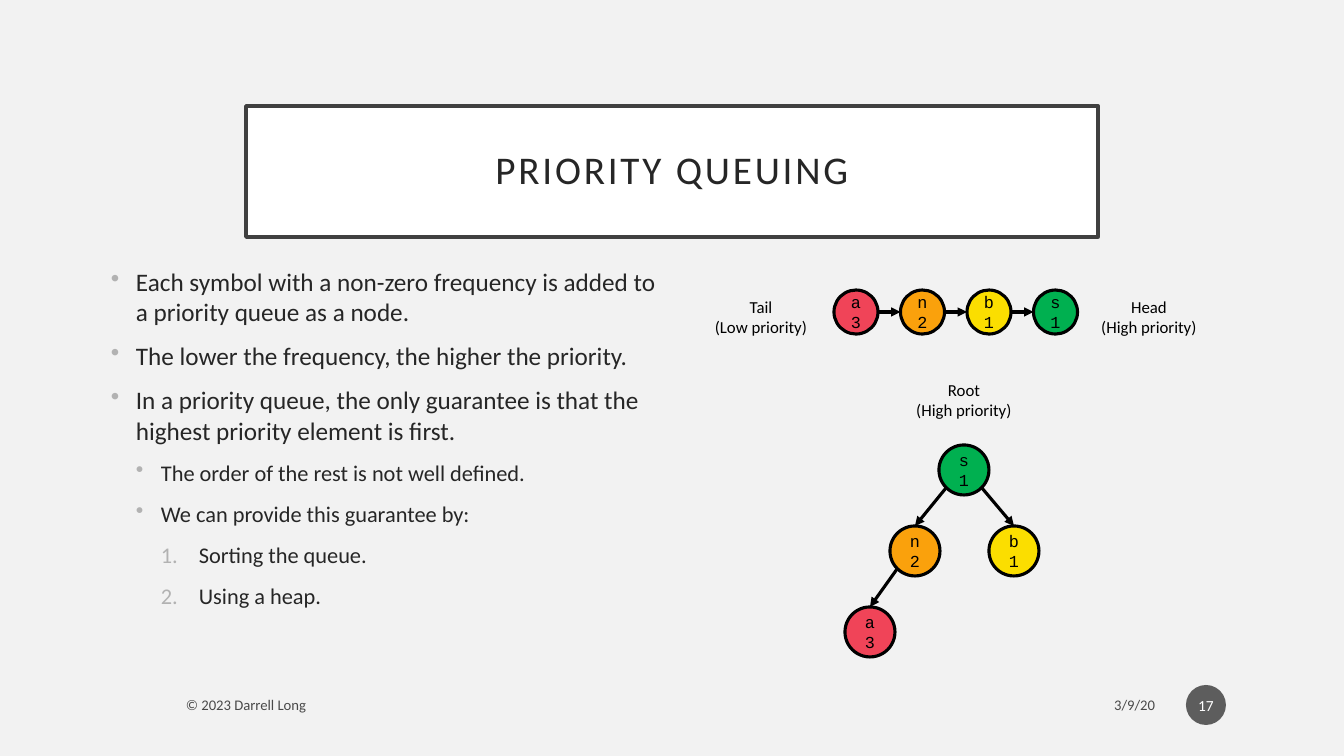
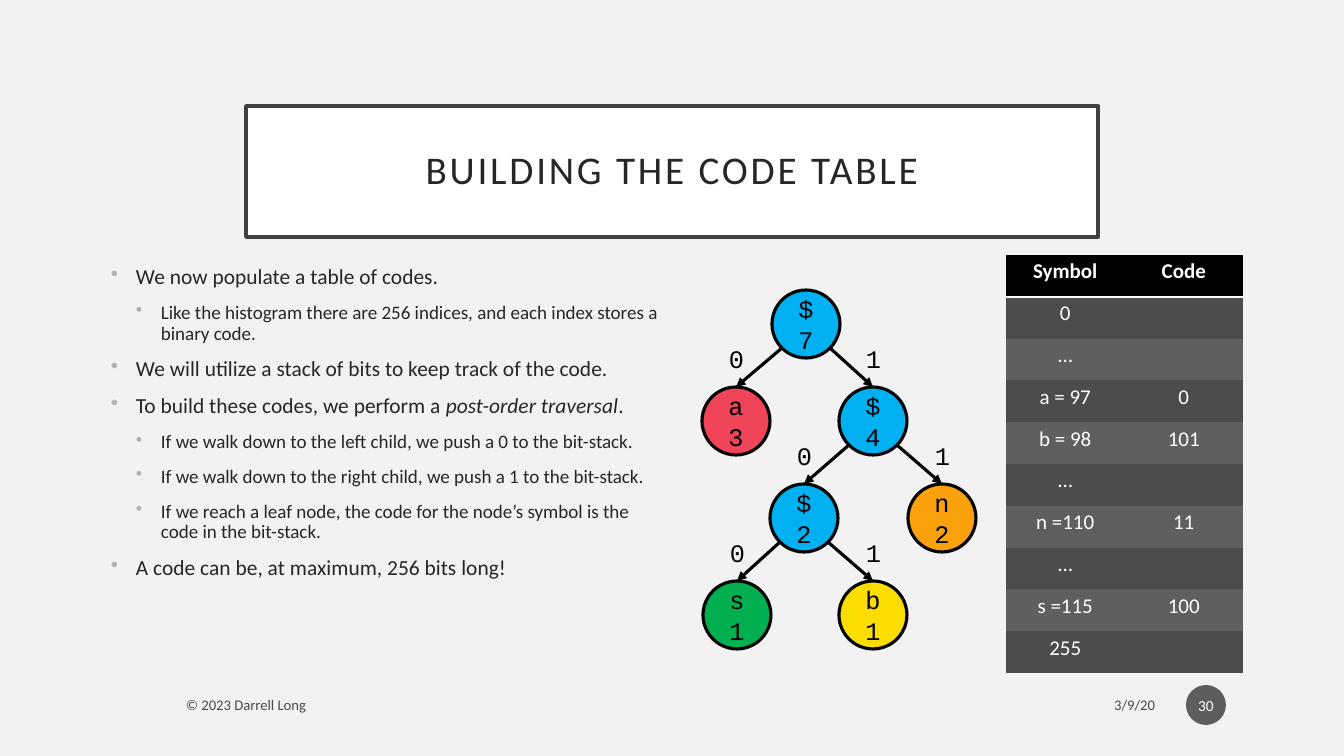
import lxml.etree
import pptx
import pptx.dml.color
import pptx.enum.shapes
import pptx.enum.text
import pptx.oxml
import pptx.oxml.ns
import pptx.util

RGBColor = pptx.dml.color.RGBColor
BACKGROUND = RGBColor(0xF2, 0xF2, 0xF2)
WHITE = RGBColor(0xFF, 0xFF, 0xFF)
BLACK = RGBColor(0x00, 0x00, 0x00)
TITLE_BORDER = RGBColor(0x40, 0x40, 0x40)
BODY_TEXT = RGBColor(0x26, 0x26, 0x26)
FOOTER_TEXT = RGBColor(0x49, 0x49, 0x49)
BADGE = RGBColor(0x5D, 0x5D, 0x5D)
BULLET = RGBColor(0xB2, 0xB2, 0xB2)
RED = RGBColor(0xF0, 0x44, 0x58)
ORANGE = RGBColor(0xFA, 0xA1, 0x0C)
YELLOW = RGBColor(0xFB, 0xDE, 0x00)
GREEN = RGBColor(0x00, 0xB0, 0x50)
BLUE = RGBColor(0x00, 0xB0, 0xF0)
ROW_DARK = RGBColor(0x4C, 0x4C, 0x4C)
ROW_LIGHT = RGBColor(0x5F, 0x5F, 0x5F)

SANS = "Calibri"
MONO = "Courier New"
EMU_PER_PX = 914400 / 100.8
ALIGN = pptx.enum.text.PP_ALIGN
MIDDLE = pptx.enum.text.MSO_ANCHOR.MIDDLE
OVAL = pptx.enum.shapes.MSO_SHAPE.OVAL
NAMESPACE = pptx.oxml.ns.nsdecls("a")
NO_TABLE_STYLE = "{2D5ABB26-0587-4C30-8999-92F81FD0307C}"


def px(length):
    return pptx.util.Emu(round(length * EMU_PER_PX))


def write(holder, text, size, color=BLACK, font=SANS, align=ALIGN.CENTER):
    """Put text in a shape or table cell, one paragraph per line."""
    holder.text_frame.word_wrap = True
    holder.text_frame.text = text
    for paragraph in holder.text_frame.paragraphs:
        paragraph.alignment = align
        paragraph.font.size = pptx.util.Pt(size)
        paragraph.font.name = font
        paragraph.font.color.rgb = color


# Body lines are (level, text); *asterisks* mark italics.
pages = [
    {
        "title": "PRIORITY QUEUING",
        "number": "17",
        "sizes": (18, 16, 16),
        "line_spacing": 1.0,
        "body": [
            (0, "Each symbol with a non-zero frequency is added to a priority queue as a node."),
            (0, "The lower the frequency, the higher the priority."),
            (0, "In a priority queue, the only guarantee is that the highest priority element is first."),
            (1, "The order of the rest is not well defined."),
            (1, "We can provide this guarantee by:"),
            (2, "Sorting the queue."),
            (2, "Using a heap."),
        ],
    },
    {
        "title": "BUILDING THE CODE TABLE",
        "number": "30",
        "sizes": (15.3, 13.6),
        "line_spacing": 0.9,
        "body": [
            (0, "We now populate a table of codes."),
            (1, "Like the histogram there are 256 indices, and each index stores a binary code."),
            (0, "We will utilize a stack of bits to keep track of the code."),
            (0, "To build these codes, we perform a *post-order traversal*."),
            (1, "If we walk down to the left child, we push a 0 to the bit-stack."),
            (1, "If we walk down to the right child, we push a 1 to the bit-stack."),
            (1, "If we reach a leaf node, the code for the node’s symbol is the code in the bit-stack."),
            (0, "A code can be, at maximum, 256 bits long!"),
        ],
    },
]

# Left margin and hanging indent of each level.
indents = [(25, 25), (50, 25), (88, 38)]

presentation = pptx.Presentation()
presentation.slide_width = px(1344)
presentation.slide_height = px(756)
master_fill = presentation.slide_master.background.fill
master_fill.solid()
master_fill.fore_color.rgb = BACKGROUND
title_only = presentation.slide_layouts.get_by_name("Title Only")

for page in pages:
    slide = presentation.slides.add_slide(title_only)

    title = slide.shapes.title
    title.left, title.top, title.width, title.height = px(246), px(106), px(852), px(131)
    title.fill.solid()
    title.fill.fore_color.rgb = WHITE
    title.line.color.rgb = TITLE_BORDER
    title.line.width = pptx.util.Pt(2.5)
    write(title, page["title"], 28, BODY_TEXT)
    title_frame = title.text_frame
    title_frame.vertical_anchor = MIDDLE
    title_frame.margin_left = title_frame.margin_right = px(20)
    title_frame.margin_top = title_frame.margin_bottom = px(20)
    title_paragraph = title_frame.paragraphs[0]
    title_paragraph.line_spacing = 0.9
    title_paragraph.runs[0]._r.get_or_add_rPr().set("spc", "200")

    body = slide.shapes.add_textbox(px(101), px(261), px(572), px(377))
    body.text_frame.word_wrap = True
    for index, (level, text) in enumerate(page["body"]):
        paragraph = body.text_frame.paragraphs[0] if index == 0 else body.text_frame.add_paragraph()
        paragraph.level = level
        paragraph.line_spacing = page["line_spacing"]
        paragraph.space_before = pptx.util.Pt(10 if index else 0)
        margin, hanging = indents[level]
        properties = paragraph._p.get_or_add_pPr()
        properties.set("marL", str(px(margin)))
        properties.set("indent", str(-px(hanging)))
        marker = 'buAutoNum {} type="arabicPeriod"' if level == 2 else 'buChar {} char="•"'
        for element in (
            f'<a:buClr {NAMESPACE}><a:srgbClr val="{BULLET}"/></a:buClr>',
            f"<a:{marker.format(NAMESPACE)}/>",
        ):
            properties.append(pptx.oxml.parse_xml(element))
        paragraph.font.size = pptx.util.Pt(page["sizes"][level])
        paragraph.font.name = SANS
        paragraph.font.color.rgb = BODY_TEXT
        for piece_index, piece in enumerate(text.split("*")):
            run = paragraph.add_run()
            run.text = piece
            if piece_index % 2:
                run.font.italic = True

    for left, width, text, align in (
        (862, 303, "3/9/20", ALIGN.RIGHT),
        (176, 650, "© 2023 Darrell Long", ALIGN.LEFT),
    ):
        footer = slide.shapes.add_textbox(px(left), px(687), px(width), px(35))
        footer.text_frame.vertical_anchor = MIDDLE
        write(footer, text, 10.5, FOOTER_TEXT, align=align)

    badge = slide.shapes.add_shape(OVAL, px(1186), px(685), px(40), px(40))
    badge.shadow.inherit = False
    badge.fill.solid()
    badge.fill.fore_color.rgb = BADGE
    badge.line.fill.background()
    badge.text_frame.margin_left = badge.text_frame.margin_right = px(2)
    write(badge, page["number"], 11, WHITE)

queue_slide, code_slide = presentation.slides

# Nodes are (text, fill, centre x, centre y); edges join nodes by index, with an optional bit.
diagrams = [
    {
        "slide": queue_slide,
        "diameter": 44,
        "size": 12,
        "nodes": [
            (text, fill, 856 + 66.5 * index, 312)
            for index, (text, fill) in enumerate(
                [("a 3", RED), ("n 2", ORANGE), ("b 1", YELLOW), ("s 1", GREEN)]
            )
        ],
        "edges": [(0, 1, ""), (1, 2, ""), (2, 3, "")],
    },
    {
        "slide": queue_slide,
        "diameter": 50,
        "size": 12,
        "nodes": [
            ("s 1", GREEN, 964, 470),
            ("n 2", ORANGE, 915, 551),
            ("b 1", YELLOW, 1014, 551),
            ("a 3", RED, 870, 632),
        ],
        "edges": [(0, 1, ""), (0, 2, ""), (1, 3, "")],
    },
    {
        "slide": code_slide,
        "diameter": 68,
        "size": 18,
        "nodes": [
            ("$ 7", BLUE, 806, 324),
            ("a 3", RED, 736, 421),
            ("$ 4", BLUE, 873, 421),
            ("$ 2", BLUE, 804, 518),
            ("n 2", ORANGE, 942, 518),
            ("s 1", GREEN, 737, 615),
            ("b 1", YELLOW, 873, 615),
        ],
        "edges": [(0, 1, "0"), (0, 2, "1"), (2, 3, "0"), (2, 4, "1"), (3, 5, "0"), (3, 6, "1")],
    },
]

for diagram in diagrams:
    shapes = diagram["slide"].shapes
    diameter = diagram["diameter"]
    radius = diameter / 2
    for text, fill, x, y in diagram["nodes"]:
        node = shapes.add_shape(OVAL, px(x - radius), px(y - radius), px(diameter), px(diameter))
        node.shadow.inherit = False
        node.fill.solid()
        node.fill.fore_color.rgb = fill
        node.line.color.rgb = BLACK
        node.line.width = pptx.util.Pt(2.25)
        write(node, text, diagram["size"], font=MONO)

    for start, end, bit in diagram["edges"]:
        start_x, start_y = diagram["nodes"][start][2:]
        end_x, end_y = diagram["nodes"][end][2:]
        if start_y == end_y:
            start_x += radius
            end_x -= radius
        else:
            # Leave the parent on its lower diagonal and reach the top of the child.
            diagonal = radius * 0.71
            start_x += diagonal if end_x > start_x else -diagonal
            start_y += diagonal
            end_y -= radius
        arrow = shapes.add_connector(
            pptx.enum.shapes.MSO_CONNECTOR.STRAIGHT, px(start_x), px(start_y), px(end_x), px(end_y)
        )
        arrow.line.color.rgb = BLACK
        arrow.line.width = pptx.util.Pt(2.25)
        arrow.line._get_or_add_ln().append(
            pptx.oxml.parse_xml(f'<a:tailEnd {NAMESPACE} type="triangle"/>')
        )
        lxml.etree.SubElement(arrow._element.spPr, pptx.oxml.ns.qn("a:effectLst"))
        if bit:
            bit_label = shapes.add_textbox(px(end_x - 17), px(end_y - 49), px(34), px(40))
            write(bit_label, bit, 18, font=MONO)

for left, top, text in (
    (1074, 292, "Head\n(High priority)"),
    (686, 292, "Tail\n(Low priority)"),
    (889, 375, "Root\n(High priority)"),
):
    write(queue_slide.shapes.add_textbox(px(left), px(top), px(150), px(54)), text, 12)

code_rows = [
    ("Symbol", "Code"),
    ("0", ""),
    ("…", ""),
    ("a = 97", "0"),
    ("b = 98", "101"),
    ("…", ""),
    ("n =110", "11"),
    ("…", ""),
    ("s =115", "100"),
    ("255", ""),
]
code_table = code_slide.shapes.add_table(len(code_rows), 2, px(1006), px(255), px(237), px(418)).table
code_table._tbl.tblPr.find(pptx.oxml.ns.qn("a:tableStyleId")).text = NO_TABLE_STYLE
for row_index, row in enumerate(code_rows):
    for column_index, text in enumerate(row):
        cell = code_table.cell(row_index, column_index)
        cell.margin_left = cell.margin_right = px(9)
        cell.margin_top = cell.margin_bottom = px(4)
        write(cell, text, 15, WHITE)
        if row_index == 0:
            cell.text_frame.paragraphs[0].font.bold = True
            cell._tc.get_or_add_tcPr().append(pptx.oxml.parse_xml(
                f'<a:lnB {NAMESPACE} w="{pptx.util.Pt(2)}"><a:solidFill>'
                f'<a:srgbClr val="{WHITE}"/></a:solidFill></a:lnB>'
            ))
        cell.fill.solid()
        cell.fill.fore_color.rgb = BLACK if row_index == 0 else ROW_DARK if row_index % 2 else ROW_LIGHT

presentation.save("out.pptx")
